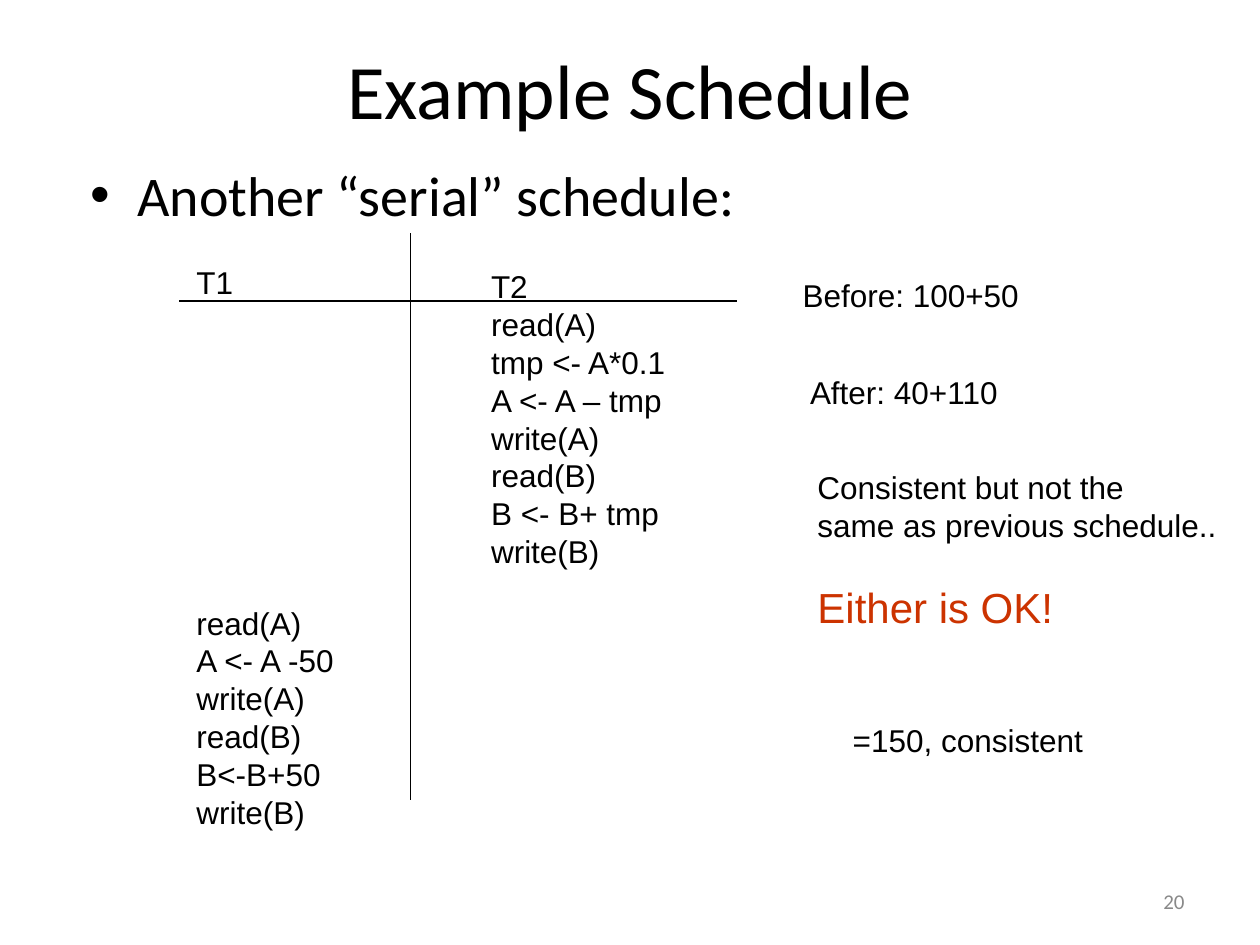
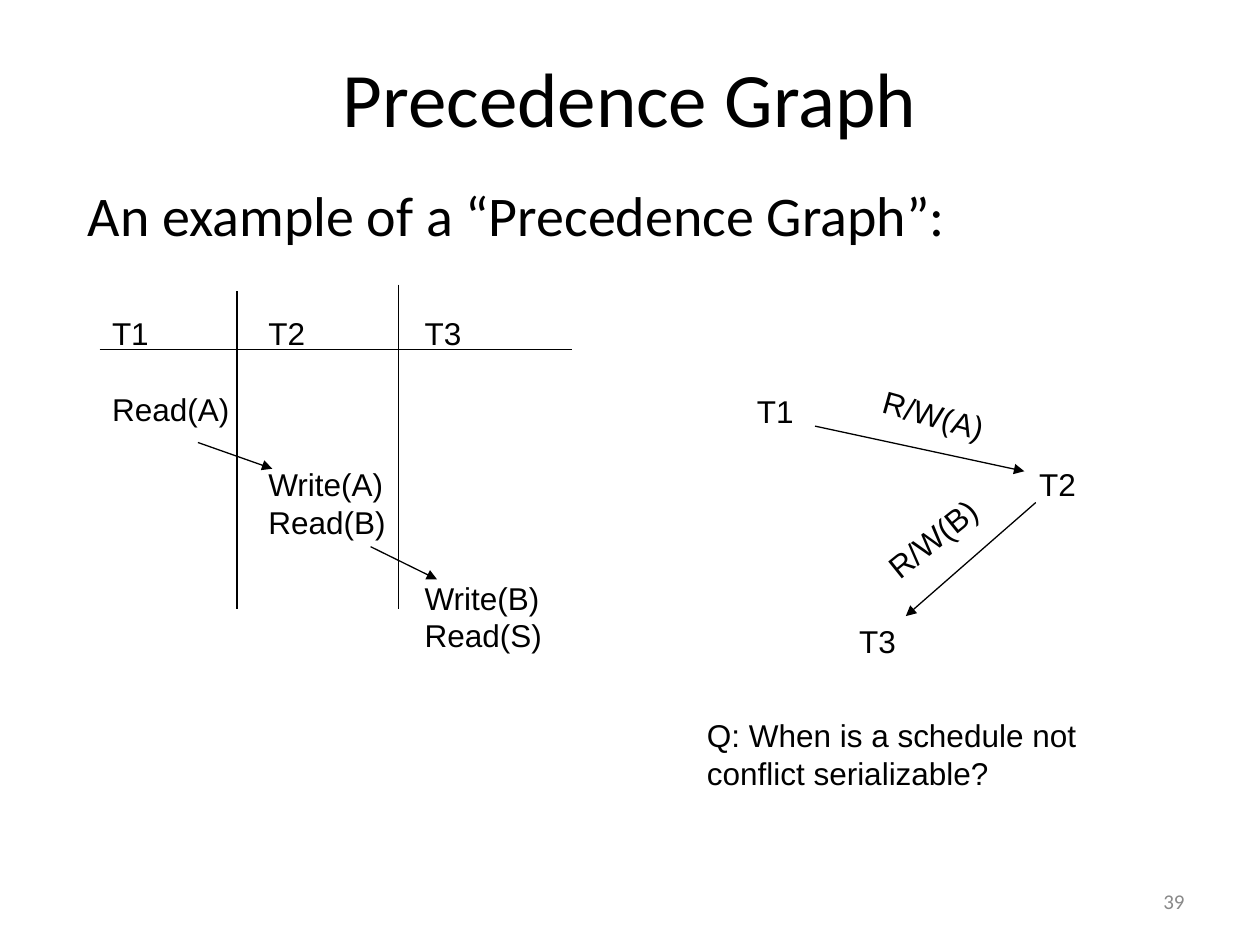
from pptx import Presentation
from pptx import util as u
from pptx.dml.color import RGBColor
from pptx.enum import shapes, text
from pptx.oxml.ns import qn
from lxml import etree

HUES = {"ink": "000000", "gray": "898989", "red": "CC3300"}
HEAD, BODY = "Calibri", "Arial"
SIZE = 18        # schedule text, in points
LEAD = 1.2       # line pitch relative to the text size
PITCH = 0.76     # one schedule line, in cm
PAD, EDGE = 0.13, 0.25
SLIM = 0.1       # right margin that keeps short labels on one line


def hue(name):
    return RGBColor.from_string(HUES[name])


class Deck:
    def __init__(self):
        self.prs = Presentation()
        self.prs.slide_width = u.Cm(25.4)
        self.prs.slide_height = u.Cm(19.05)
        self.slide = None

    def style(self, para, size=SIZE, face=BODY, color="ink"):
        para.font.size = u.Pt(size)
        para.font.name = face
        para.font.color.rgb = hue(color)

    def start(self, title, top, high, num):
        """Add a slide with its title and slide number."""
        self.slide = self.prs.slides.add_slide(self.prs.slide_layouts[5])
        head = self.slide.shapes.title
        head.left, head.top = u.Cm(1.27), u.Cm(top)
        head.width, head.height = u.Cm(22.86), u.Cm(high)
        frame = head.text_frame
        frame.text = title
        frame.vertical_anchor = text.MSO_ANCHOR.MIDDLE
        para = frame.paragraphs[0]
        para.alignment = text.PP_ALIGN.CENTER
        self.style(para, 44, HEAD)

        foot = self.box(18.21, 17.65, 5.92, 1.02).text_frame
        foot.text = str(num)
        foot.vertical_anchor = text.MSO_ANCHOR.MIDDLE
        foot.paragraphs[0].alignment = text.PP_ALIGN.RIGHT
        self.style(foot.paragraphs[0], 12, HEAD, "gray")

    def box(self, x, y, wide, high):
        item = self.slide.shapes.add_textbox(
            u.Cm(x), u.Cm(y), u.Cm(wide), u.Cm(high))
        frame = item.text_frame
        frame.word_wrap = True
        frame.margin_left = frame.margin_right = u.Cm(EDGE)
        frame.margin_top = frame.margin_bottom = u.Cm(PAD)
        return item

    def lead(self, line, x, y, wide, high, left, bullet=None):
        """Add the large opening line, with or without a bullet."""
        frame = self.box(x, y, wide, high).text_frame
        frame.text = line
        para = frame.paragraphs[0]
        props = para._p.get_or_add_pPr()
        props.set("marL", str(u.Cm(left)))
        if bullet:
            props.set("indent", str(-u.Cm(left)))
            etree.SubElement(props, qn("a:buFont")).set("typeface", BODY)
            etree.SubElement(props, qn("a:buChar")).set("char", bullet)
        self.style(para, 32, HEAD)

    def steps(self, rows, x, y, wide, turn=0):
        """Stack rows on the line grid; an empty row leaves a gap."""
        item = self.box(x, y, wide, len(rows) * PITCH + 2 * PAD)
        item.rotation = turn
        frame = item.text_frame
        frame.word_wrap = False
        frame.margin_right = u.Cm(SLIM)
        frame.auto_size = text.MSO_AUTO_SIZE.SHAPE_TO_FIT_TEXT
        frame.text = "\n".join(filter(None, rows))
        marks = [i for i, row in enumerate(rows) if row]
        last = 0
        for para, mark in zip(frame.paragraphs, marks):
            para.line_spacing = u.Pt(SIZE * LEAD)
            if mark - last > 1:
                para.space_before = u.Pt((mark - last - 1) * SIZE * LEAD)
            self.style(para)
            last = mark
        return item

    def line(self, x1, y1, x2, y2, arrow=False):
        item = self.slide.shapes.add_connector(
            shapes.MSO_CONNECTOR.STRAIGHT,
            u.Cm(x1), u.Cm(y1), u.Cm(x2), u.Cm(y2))
        item.line.color.rgb = hue("ink")
        item.line.width = u.Pt(0.75)
        if arrow:
            tip = etree.SubElement(item.line._get_or_add_ln(), qn("a:tailEnd"))
            tip.set("type", "triangle")
        etree.SubElement(item._element.spPr, qn("a:effectLst"))


def serial(deck):
    deck.start("Example Schedule", 0.2, 3.18, 20)
    deck.lead("Another “serial” schedule:", 1.57, 3.1, 21.79, 1.83, 0.95, "•")

    # Schedule: T2 runs first, then T1
    deck.steps(["T1"] + [""] * 8 + ["read(A)", "A <- A -50", "write(A)",
               "read(B)", "B<-B+50", "write(B)"], 3.71, 5.18, 3.38)
    deck.steps(["T2", "read(A)", "tmp <- A*0.1", "A <- A – tmp", "write(A)",
                "read(B)", "B <- B+ tmp", "write(B)"], 9.65, 5.26, 4.04)
    deck.line(3.61, 6.07, 14.86, 6.07)
    deck.line(8.28, 4.7, 8.28, 16.13)

    # Remarks
    deck.steps(["Before: 100+50"], 15.93, 5.44, 4.85)
    deck.steps(["After: 40+110"], 16.08, 7.39, 4.34)
    note = deck.steps(["Consistent but not the", "same as previous schedule..",
                       "", "Either is OK!"], 16.23, 9.3, 8.56)
    note.height = u.Cm(3.56)
    claim = note.text_frame.paragraphs[-1]
    claim.line_spacing = u.Pt(24 * LEAD)
    deck.style(claim, 24, color="red")
    deck.steps(["=150, consistent"], 16.94, 14.4, 5.16)


def graph(deck):
    deck.start("Precedence Graph", 0.64, 2.62, 39)
    deck.lead("An example of a “Precedence Graph”:",
              1.27, 3.51, 22.86, 12.57, 0.25)

    # Schedule columns
    cols = [["T1", "", "Read(A)"],
            ["T2", "", "", "", "Write(A)", "Read(B)"],
            ["T3"] + [""] * 6 + ["Write(B)", "Read(S)"]]
    for i, rows in enumerate(cols):
        deck.steps(rows, 2.01 + 3.15 * i, 6.2, 2.87)
    deck.line(3.99, 8.92, 5.49, 9.45, True)
    deck.line(7.47, 11.02, 8.81, 11.68, True)
    deck.line(4.78, 5.87, 4.78, 12.27)
    deck.line(8.03, 5.74, 8.03, 12.27)
    deck.line(2.01, 7.04, 11.53, 7.04)

    # Graph nodes and labelled edges
    for name, x, y in [("T1", 15.01, 7.77), ("T2", 20.7, 9.25),
                       ("T3", 17.07, 12.4)]:
        deck.steps([name], x, y, 1.3)
    deck.line(16.43, 8.59, 20.65, 9.5, True)
    deck.line(20.88, 10.13, 18.26, 12.42, True)
    deck.steps(["R/W(A)"], 17.53, 7.85, 2.59, 15.6)
    deck.steps(["R/W(B)"], 17.5, 10.34, 2.59, 321.2)

    # Question
    deck.steps(["Q: When is a schedule not", "conflict serializable?"],
               14, 14.3, 7.95)


def main():
    deck = Deck()
    serial(deck)
    graph(deck)
    deck.prs.save("out.pptx")


if __name__ == "__main__":
    main()
